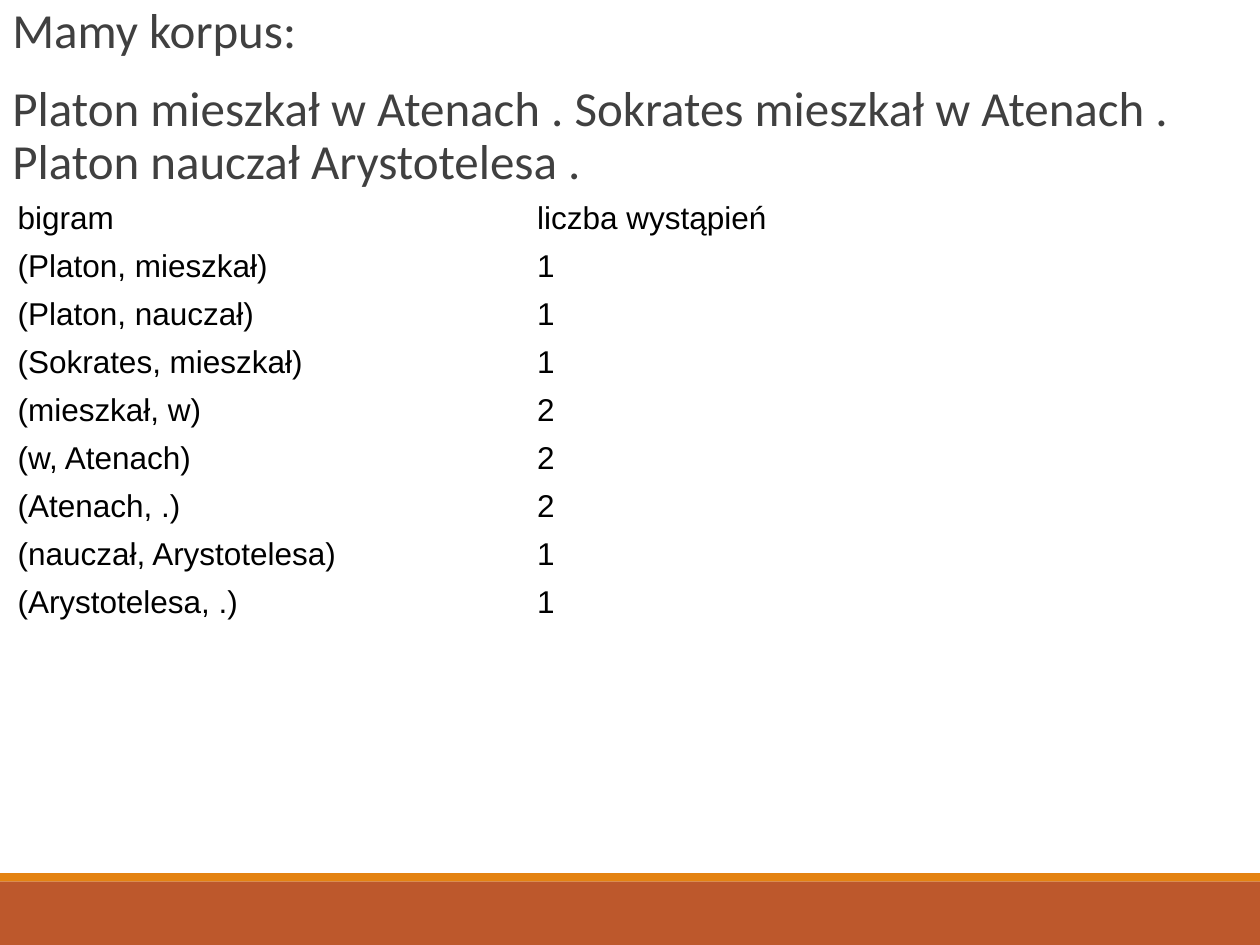
import dataclasses

import lxml.etree
import pptx
import pptx.dml.color
import pptx.enum.shapes
import pptx.enum.text
import pptx.oxml.ns
import pptx.util
from pptx.util import Cm, Pt


@dataclasses.dataclass(frozen=True)
class Theme:
    text: str = "404040"
    table_text: str = "000000"
    accent: str = "E48312"
    footer: str = "BD582C"
    text_font: str = "Calibri"
    table_font: str = "Arial"
    text_size: int = 28
    table_size: int = 18


THEME = Theme()

CORPUS = [
    "Mamy korpus:",
    "Platon mieszkał w Atenach . Sokrates mieszkał w Atenach . Platon nauczał Arystotelesa .",
]
BIGRAM_COUNTS = [
    ("bigram", "liczba wystąpień"),
    ("(Platon, mieszkał)", "1"),
    ("(Platon, nauczał)", "1"),
    ("(Sokrates, mieszkał)", "1"),
    ("(mieszkał, w)", "2"),
    ("(w, Atenach)", "2"),
    ("(Atenach, .)", "2"),
    ("(nauczał, Arystotelesa)", "1"),
    ("(Arystotelesa, .)", "1"),
]


def color(value):
    return pptx.dml.color.RGBColor.from_string(value)


def add_run(paragraph, text, font_name, size, text_color):
    run = paragraph.add_run()
    run.text = text
    run.font.name = font_name
    run.font.size = Pt(size)
    run.font.color.rgb = color(text_color)


def set_blank_bullet(paragraph):
    """Hanging indent whose bullet is a space in the accent colour."""
    qn = pptx.oxml.ns.qn
    properties = paragraph._p.get_or_add_pPr()
    properties.set("marL", str(Cm(0.25)))
    properties.set("indent", str(-Cm(0.25)))
    bullet_color = lxml.etree.SubElement(properties, qn("a:buClr"))
    lxml.etree.SubElement(bullet_color, qn("a:srgbClr"), val=THEME.accent)
    lxml.etree.SubElement(properties, qn("a:buFont"), typeface=THEME.text_font)
    lxml.etree.SubElement(properties, qn("a:buChar"), char=" ")


def add_footer(slide, left, top, width, height):
    """Thin accent stripe above a solid band."""
    stripe = Cm(0.17)
    bands = [
        (top + stripe, height - stripe, THEME.footer),
        (top, stripe, THEME.accent),
    ]
    for band_top, band_height, fill in bands:
        shape = slide.shapes.add_shape(
            pptx.enum.shapes.MSO_SHAPE.RECTANGLE, left, band_top, width, band_height
        )
        shape.shadow.inherit = False
        shape.fill.solid()
        shape.fill.fore_color.rgb = color(fill)
        shape.line.fill.background()


def fill_corpus(slide, left, top, width, height):
    """Corpus sentences in the body placeholder."""
    body = slide.placeholders[1]
    body.left, body.top, body.width, body.height = left, top, width, height
    frame = body.text_frame
    frame.auto_size = pptx.enum.text.MSO_AUTO_SIZE.NONE
    frame.word_wrap = True
    frame.vertical_anchor = pptx.enum.text.MSO_ANCHOR.TOP
    frame.margin_left = frame.margin_right = 0
    frame.margin_top = frame.margin_bottom = Cm(0.13)
    for index, text in enumerate(CORPUS):
        paragraph = frame.add_paragraph() if index else frame.paragraphs[0]
        paragraph.line_spacing = 0.9
        paragraph.space_before = Pt(12 if index else 0)
        paragraph.space_after = Pt(2)
        set_blank_bullet(paragraph)
        add_run(paragraph, text, THEME.text_font, THEME.text_size, THEME.text)


def add_bigram_table(slide, left, top, width, height):
    """Plain table of bigrams and their counts."""
    table = slide.shapes.add_table(
        len(BIGRAM_COUNTS), len(BIGRAM_COUNTS[0]), left, top, width, height
    ).table
    table.first_row = False
    table.horz_banding = False
    for row, values in zip(table.rows, BIGRAM_COUNTS):
        for cell, text in zip(row.cells, values):
            cell.fill.background()
            cell.vertical_anchor = pptx.enum.text.MSO_ANCHOR.MIDDLE
            cell.margin_top = cell.margin_bottom = Cm(0.1)
            add_run(cell.text_frame.paragraphs[0], text,
                    THEME.table_font, THEME.table_size, THEME.table_text)


def main():
    presentation = pptx.Presentation()
    presentation.slide_width = Cm(25.4)
    presentation.slide_height = Cm(19.05)
    slide = presentation.slides.add_slide(presentation.slide_layouts[1])

    # The slide has no title
    title = slide.shapes.title
    title.element.getparent().remove(title.element)

    add_footer(slide, 0, Cm(17.6), presentation.slide_width, Cm(1.45))
    fill_corpus(slide, 0, 0, presentation.slide_width, Cm(16.3))
    add_bigram_table(slide, Cm(0.1), Cm(3.93), Cm(20.95), Cm(8.7))
    presentation.save("out.pptx")


if __name__ == "__main__":
    main()
